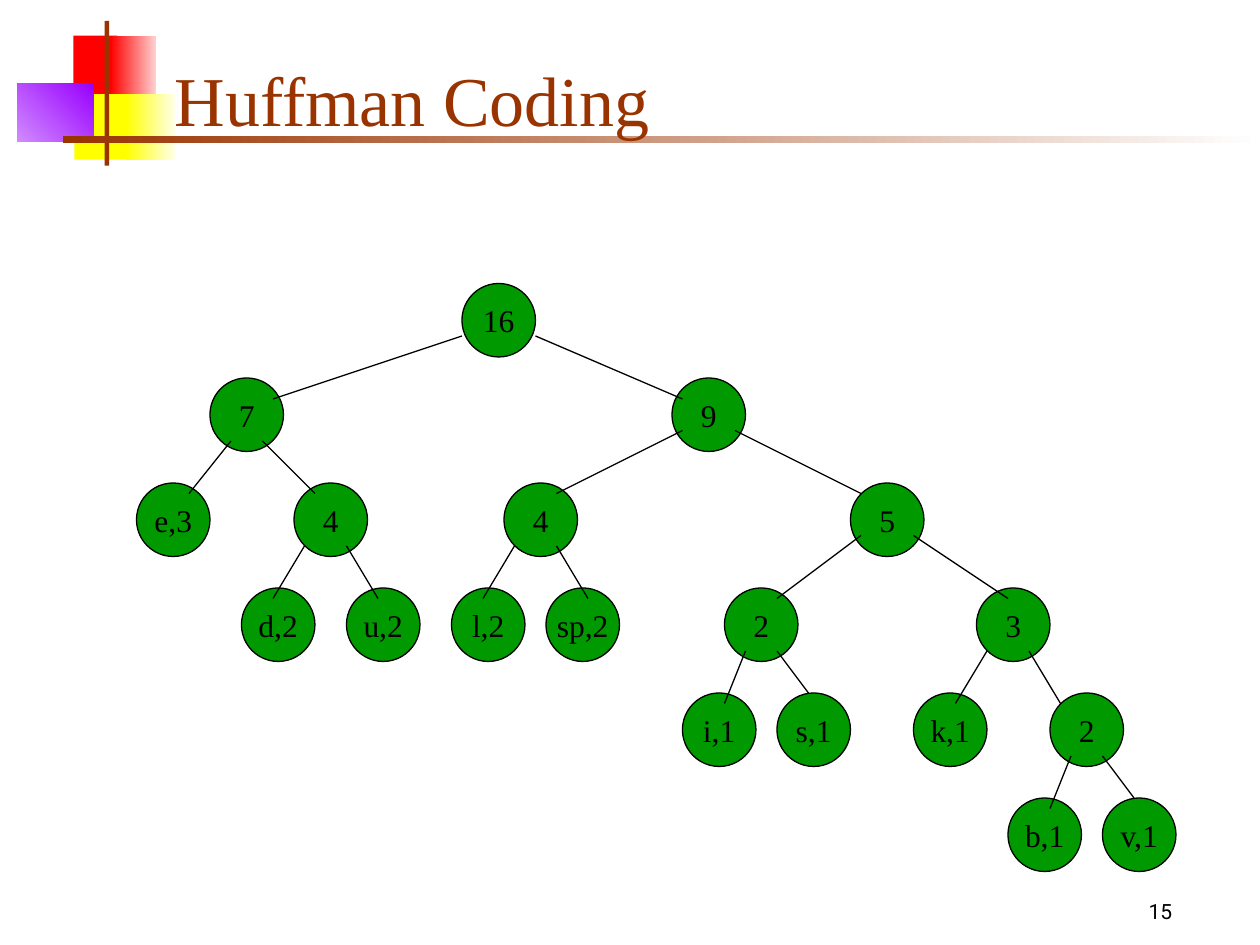
import pptx
import pptx.dml.color
import pptx.enum.shapes
import pptx.enum.text
import pptx.oxml.ns
import pptx.util
from dataclasses import dataclass
from lxml import etree

Cm, Pt = pptx.util.Cm, pptx.util.Pt
SHAPE = pptx.enum.shapes.MSO_SHAPE
ANCHOR = pptx.enum.text.MSO_ANCHOR
ALIGN = pptx.enum.text.PP_ALIGN


@dataclass(frozen=True)
class Theme:
    serif: str = "Times New Roman"
    sans: str = "Roboto"
    title_size: int = 40
    node_size: int = 18
    number_size: int = 12
    line_width: float = 0.75
    black: str = "000000"
    white: str = "FFFFFF"
    brown: str = "993300"
    green: str = "009900"
    red: str = "FF0000"
    pale_red: str = "FFD1D1"
    yellow: str = "FFFF00"
    pale_yellow: str = "FFFFF0"
    purple: str = "9900FF"
    pale_purple: str = "D18BFF"


THEME = Theme()

TITLE = "Huffman Coding"
TITLE_BOX = (3.39, 0.64, 21.63, 2.33)
NUMBER = "15"
NUMBER_BOX = (22.23, 17.99, 2.33, 0.84)
INSET = 0.13

# Box in cm, colours (one is solid, two a gradient), gradient angle
DECORATION = [
    ((1.48, 0.72, 0.89, 1.32), [THEME.red], 0),
    ((2.23, 0.72, 0.92, 1.32), [THEME.pale_red, THEME.red], 180),
    ((1.5, 1.9, 1.17, 1.32), [THEME.yellow], 0),
    ((2.54, 1.9, 1.02, 1.32), [THEME.pale_yellow, THEME.yellow], 180),
    ((0.35, 1.69, 1.54, 1.17), [THEME.purple, THEME.pale_purple], 225),
    ((2.11, 0.42, 0.09, 2.92), [THEME.brown], 0),
    ((1.27, 2.74, 24.13, 0.14), [THEME.white, THEME.brown], 180),
]

# The tree sits on a grid of twelve steps to the inch
GRID = 2.54 / 12
DIAMETER = 7

# Top of each level, then the label and left side of its nodes
LEVELS = [
    (27, [("16", 44)]),
    (36, [("7", 20), ("9", 64)]),
    (46, [("e,3", 13), ("4", 28), ("4", 48), ("5", 81)]),
    (56, [("d,2", 23), ("u,2", 33), ("l,2", 43), ("sp,2", 52), ("2", 69), ("3", 93)]),
    (66, [("i,1", 65), ("s,1", 74), ("k,1", 87), ("2", 100)]),
    (76, [("b,1", 96), ("v,1", 105)]),
]

# Start x, y and end x, y of each branch
BRANCHES = [
    (44, 32, 26, 38), (51, 32, 65, 38),
    (22, 42, 18, 47), (25, 42, 30, 47),
    (65, 41, 53, 47), (70, 41, 82, 47),
    (29, 52, 26, 57), (33, 52, 36, 57),
    (49, 52, 46, 57), (53, 52, 56, 57),
    (82, 51, 74, 57), (87, 51, 96, 57),
    (71, 62, 69, 67), (74, 62, 77, 66),
    (94, 62, 91, 67), (98, 62, 101, 67),
    (102, 72, 100, 77), (105, 72, 108, 76),
]


def rgb(color):
    return pptx.dml.color.RGBColor.from_string(color)


def cm(values, scale=1):
    return [Cm(v * scale) for v in values]


def put_text(sp, text, size, font=THEME.serif, color=THEME.black,
             align=ALIGN.CENTER, anchor=ANCHOR.MIDDLE, wrap=False, inset=INSET):
    tf = sp.text_frame
    tf.word_wrap = wrap
    tf.vertical_anchor = anchor
    tf.margin_left = tf.margin_right = tf.margin_top = tf.margin_bottom = Cm(inset)
    p = tf.paragraphs[0]
    p.alignment = align
    r = p.add_run()
    r.text = text
    r.font.name, r.font.size = font, Pt(size)
    r.font.color.rgb = rgb(color)


def add_block(s, box, colors, angle):
    sp = s.shapes.add_shape(SHAPE.RECTANGLE, *cm(box))
    sp.shadow.inherit = False
    sp.line.fill.background()
    if len(colors) == 1:
        sp.fill.solid()
        sp.fill.fore_color.rgb = rgb(colors[0])
        return
    sp.fill.gradient()
    sp.fill.gradient_angle = angle
    for stop, color in zip(sp.fill.gradient_stops, colors):
        stop.color.rgb = rgb(color)


def outline(sp):
    sp.line.color.rgb = rgb(THEME.black)
    sp.line.width = Pt(THEME.line_width)


def add_node(s, label, left, top):
    sp = s.shapes.add_shape(SHAPE.OVAL, *cm((left, top, DIAMETER, DIAMETER), GRID))
    sp.shadow.inherit = False
    sp.fill.solid()
    sp.fill.fore_color.rgb = rgb(THEME.green)
    outline(sp)
    put_text(sp, label, THEME.node_size, inset=0)


def add_branch(s, ends):
    line = s.shapes.add_connector(pptx.enum.shapes.MSO_CONNECTOR.STRAIGHT, *cm(ends, GRID))
    outline(line)
    qn = pptx.oxml.ns.qn
    etree.SubElement(line.element.find(qn("p:spPr")), qn("a:effectLst"))


def add_title(s):
    title = s.shapes.title
    title.left, title.top, title.width, title.height = cm(TITLE_BOX)
    put_text(title, TITLE, THEME.title_size, color=THEME.brown,
             align=ALIGN.LEFT, anchor=ANCHOR.BOTTOM, wrap=True)
    # Bring the title in front of the decoration
    title.element.getparent().append(title.element)


def main():
    prs = pptx.Presentation()
    prs.slide_width, prs.slide_height = cm((25.4, 19.05))
    s = prs.slides.add_slide(prs.slide_layouts[5])

    for box, colors, angle in DECORATION:
        add_block(s, box, colors, angle)
    add_title(s)
    number = s.shapes.add_textbox(*cm(NUMBER_BOX))
    put_text(number, NUMBER, THEME.number_size, font=THEME.sans, anchor=ANCHOR.TOP)

    for top, nodes in LEVELS:
        for label, left in nodes:
            add_node(s, label, left, top)
    for ends in BRANCHES:
        add_branch(s, ends)

    prs.save("out.pptx")


if __name__ == "__main__":
    main()
